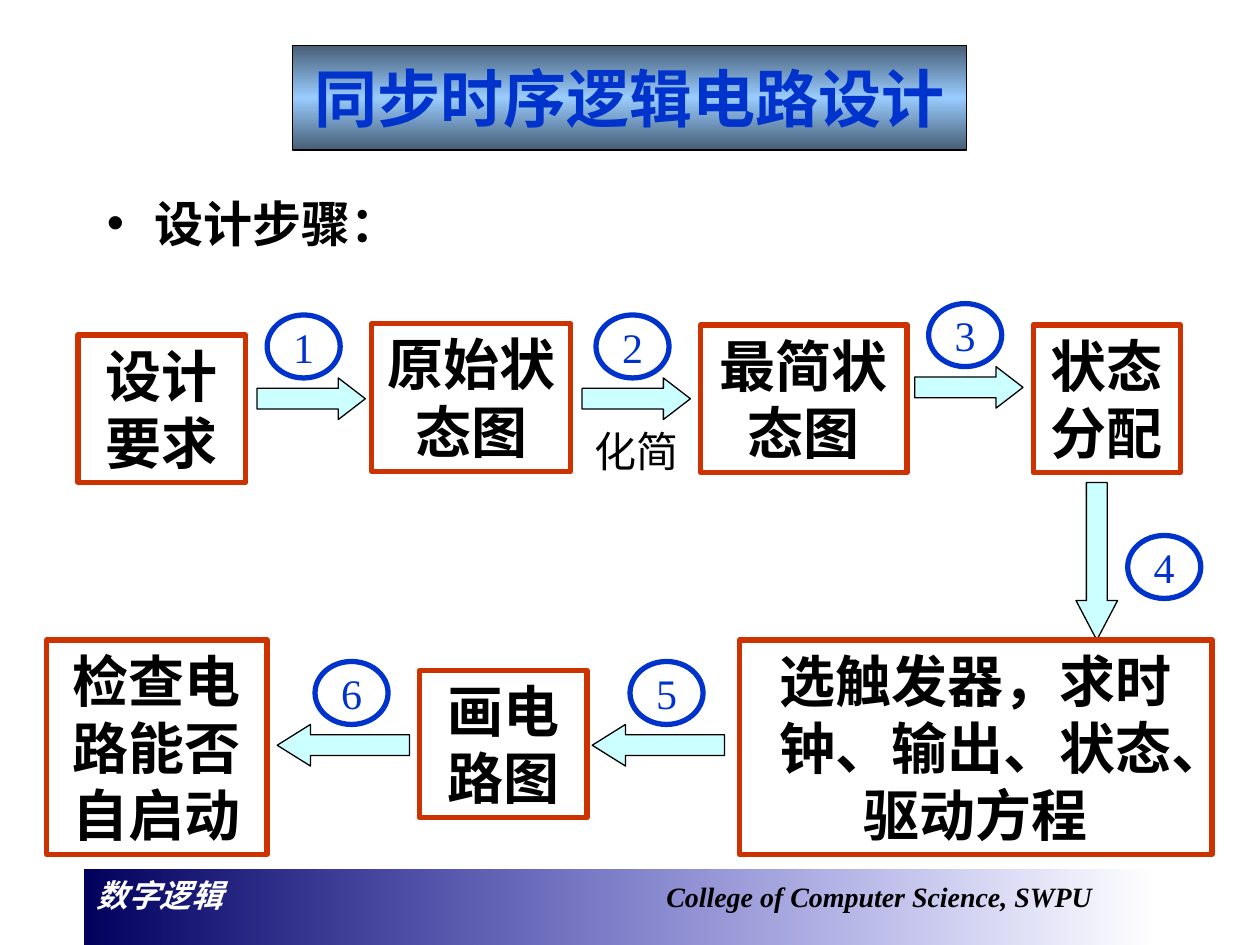
from lxml.etree import SubElement
from pptx import Presentation
from pptx.dml.color import RGBColor
from pptx.enum.shapes import MSO_SHAPE
from pptx.enum.text import MSO_ANCHOR, MSO_AUTO_SIZE, PP_ALIGN
from pptx.oxml.ns import qn
from pptx.util import Inches, Pt


class FlowSlide:
    colors = {
        "black": "000000", "white": "FFFFFF", "blue": "0033CC",
        "red": "CC3300", "cyan": "CCFFFF", "navy": "00005E",
        "royal": "0000CC", "steel": "475E76", "sky": "99CCFF",
    }
    serif = "Times New Roman"

    def __init__(self, deck):
        self.page = deck.slides.add_slide(deck.slide_layouts[5])

    def color(self, name):
        return RGBColor.from_string(self.colors[name])

    def format_span(self, span, size, color="black", font=serif, bold=False, italic=False):
        span.font.size = Pt(size)
        span.font.name = font
        span.font.bold = bold
        span.font.italic = italic
        span.font.color.rgb = self.color(color)

    def set_text(self, box, text, size, align=PP_ALIGN.CENTER, anchor=MSO_ANCHOR.TOP,
                 wrap=True, **look):
        frame = box.text_frame
        frame.text = text
        frame.word_wrap = wrap
        frame.auto_size = MSO_AUTO_SIZE.NONE
        frame.vertical_anchor = anchor
        para = frame.paragraphs[0]
        para.alignment = align
        for span in para.runs:
            self.format_span(span, size, **look)
        return para

    def outline(self, box, color, width):
        box.line.color.rgb = self.color(color)
        box.line.width = Pt(width)

    def gradient(self, box, angle, stops):
        box.fill.gradient()
        box.fill.gradient_angle = angle
        stop_list = box._element.spPr.find(qn("a:gradFill")).find(qn("a:gsLst"))
        for old_stop in list(stop_list):
            stop_list.remove(old_stop)
        for percent, color, opacity in stops:
            stop = SubElement(stop_list, qn("a:gs"), pos=str(percent * 1000))
            tone = SubElement(stop, qn("a:srgbClr"), val=self.colors[color])
            if opacity < 100:
                SubElement(tone, qn("a:alpha"), val=str(opacity * 1000))

    def shape(self, kind, left, top, width, height, line=None, line_width=3, fill=None):
        box = self.page.shapes.add_shape(
            kind, Inches(left), Inches(top), Inches(width), Inches(height))
        box.shadow.inherit = False
        if fill:
            box.fill.solid()
            box.fill.fore_color.rgb = self.color(fill)
        else:
            box.fill.background()
        if line:
            self.outline(box, line, line_width)
        else:
            box.line.fill.background()
        return box

    def title(self, text):
        box = self.page.shapes.title
        box.left, box.top = Inches(2.32), Inches(0.36)
        box.width, box.height = Inches(5.35), Inches(0.83)
        self.gradient(box, 90, [(0, "steel", 100), (50, "sky", 100), (100, "steel", 100)])
        self.outline(box, "black", 0.75)
        self.set_text(box, text, 36, anchor=MSO_ANCHOR.MIDDLE,
                      color="blue", font="Cabin", bold=True)

    def footer(self, course, college):
        box = self.shape(MSO_SHAPE.RECTANGLE, 0.67, 6.9, 8.5, 0.6)
        self.gradient(box, 0, [(0, "navy", 100), (100, "royal", 0)])
        para = self.set_text(box, course + "\t", 18, align=PP_ALIGN.LEFT,
                             color="white", bold=True, italic=True)
        tabs = SubElement(para._p.get_or_add_pPr(), qn("a:tabLst"))
        SubElement(tabs, qn("a:tab"), pos=str(Inches(4.52)), algn="l")
        span = para.add_run()
        span.text = college
        self.format_span(span, 16, bold=True, italic=True)

    def text(self, text, left, top, width, height, size, **look):
        box = self.page.shapes.add_textbox(
            Inches(left), Inches(top), Inches(width), Inches(height))
        return self.set_text(box, text, size, align=PP_ALIGN.LEFT, **look)

    def bullet(self, text):
        para = self.text(text, 0.75, 1.39, 8.5, 5.45, 28, font="Arial", bold=True)
        properties = para._p.get_or_add_pPr()
        properties.set("marL", str(Inches(0.38)))
        properties.set("indent", str(-Inches(0.38)))
        SubElement(properties, qn("a:buFont"), typeface="Arial")
        SubElement(properties, qn("a:buChar"), char="•")
        para.line_spacing = 1.2

    def stage(self, text, left, top, width, height):
        box = self.shape(MSO_SHAPE.RECTANGLE, left, top, width, height, line="red")
        self.set_text(box, text, 32, bold=True)

    def arrow(self, kind, left, top, width, height):
        box = self.shape(kind, left, top, width, height,
                         line="black", line_width=0.75, fill="cyan")
        box.adjustments[0] = 0.5
        box.adjustments[1] = round(0.25 * max(width, height) / min(width, height), 2)

    def badge(self, number, left, top):
        box = self.shape(MSO_SHAPE.OVAL, left, top, 0.58, 0.5, line="blue")
        self.set_text(box, str(number), 24, anchor=MSO_ANCHOR.MIDDLE,
                      wrap=False, color="blue")


def main():
    deck = Presentation()
    deck.slide_width, deck.slide_height = Inches(10), Inches(7.5)
    flow = FlowSlide(deck)
    flow.footer("数字逻辑", "College of Computer Science, SWPU")
    flow.title("同步时序逻辑电路设计")
    flow.bullet("设计步骤：")

    two_lines, three_lines = 1.17, 1.7
    stages = [
        ("设计要求", 0.62, 2.66, 1.33, two_lines),
        ("原始状态图", 2.95, 2.57, 1.58, two_lines),
        ("最简状态图", 5.56, 2.58, 1.64, two_lines),
        ("状态分配", 8.2, 2.58, 1.17, two_lines),
        ("选触发器，求时钟、输出、状态、驱动方程", 5.87, 5.08, 3.75, three_lines),
        ("画电路图", 3.33, 5.32, 1.33, two_lines),
        ("检查电路能否自启动", 0.37, 5.08, 1.75, three_lines),
    ]
    right = (MSO_SHAPE.RIGHT_ARROW, 0.86, 0.33)
    down = (MSO_SHAPE.DOWN_ARROW, 0.33, 1.25)
    left = (MSO_SHAPE.LEFT_ARROW, 1.05, 0.33)
    steps = [
        (right, 2.04, 3, 0.08, -0.5),
        (right, 4.62, 3, 0.11, -0.5),
        (right, 7.26, 2.91, 0.11, -0.5),
        (down, 8.54, 3.83, 0.41, 0.42),
        (left, 4.7, 5.75, 0.3, -0.5),
        (left, 2.2, 5.75, 0.3, -0.5),
    ]
    for number, (style, x, y, shift_x, shift_y) in enumerate(steps, 1):
        kind, width, height = style
        flow.arrow(kind, x, y, width, height)
        flow.badge(number, x + shift_x, y + shift_y)
    for stage in stages:
        flow.stage(*stage)
    flow.text("化简", 4.62, 3.33, 0.92, 0.5, 24)

    deck.save("out.pptx")


if __name__ == "__main__":
    main()
